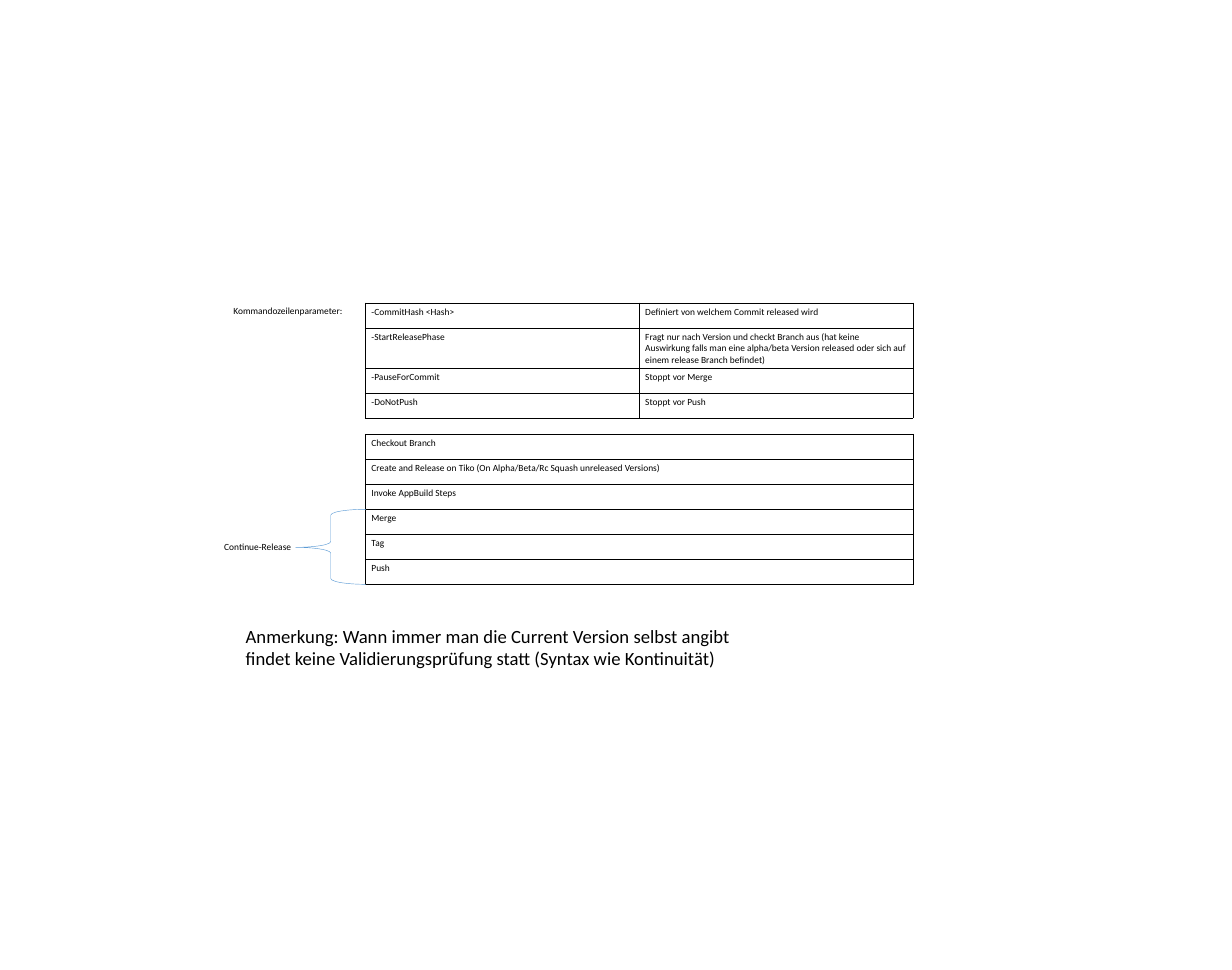
from lxml.etree import SubElement
from pptx import Presentation
from pptx.dml.color import RGBColor
from pptx.enum.shapes import MSO_SHAPE
from pptx.oxml.ns import qn
from pptx.util import Inches, Pt

COLORS = {"text": "000000", "border": "000000", "brace": "5B9BD5"}
FONT = "Calibri"
TABLE_LEFT, TABLE_WIDTH, ROW_HEIGHT = 5.93, 8.89, 0.406

PARAMETERS = [
    ("-CommitHash <Hash>", "Definiert von welchem Commit released wird"),
    ("-StartReleasePhase",
     "Fragt nur nach Version und checkt Branch aus (hat keine Auswirkung falls man "
     "eine alpha/beta Version released oder sich auf einem release Branch befindet)"),
    ("-PauseForCommit", "Stoppt vor Merge"),
    ("-DoNotPush", "Stoppt vor Push"),
]
STEPS = [
    ("Checkout Branch",),
    ("Create and Release on Tiko (On Alpha/Beta/Rc Squash unreleased Versions)",),
    ("Invoke AppBuild Steps",),
    ("Merge",),
    ("Tag",),
    ("Push",),
]


def set_text(text_frame, text, size):
    text_frame.text = text
    for paragraph in text_frame.paragraphs:
        for run in paragraph.runs:
            run.font.name = FONT
            run.font.size = Pt(size)
            run.font.color.rgb = RGBColor.from_string(COLORS["text"])


def add_label(slide, left, top, width, height, text, size=11, wrap=True):
    box = slide.shapes.add_textbox(Inches(left), Inches(top), Inches(width), Inches(height))
    box.text_frame.word_wrap = wrap
    set_text(box.text_frame, text, size)


def add_borders(cell):
    properties = cell._tc.get_or_add_tcPr()
    for position, side in enumerate(("lnL", "lnR", "lnT", "lnB")):
        line = SubElement(properties, qn(f"a:{side}"), w=str(Pt(1)))
        fill = SubElement(line, qn("a:solidFill"))
        SubElement(fill, qn("a:srgbClr"), val=COLORS["border"])
        # Borders come before the cell fill in the schema
        properties.insert(position, line)


def add_grid(slide, top, rows):
    column_count = len(rows[0])
    table = slide.shapes.add_table(
        len(rows), column_count, Inches(TABLE_LEFT), Inches(top),
        Inches(TABLE_WIDTH), Inches(ROW_HEIGHT * len(rows))).table
    table.first_row = False
    table.horz_banding = False
    for row_index, row in enumerate(rows):
        for column_index, text in enumerate(row):
            cell = table.cell(row_index, column_index)
            cell.fill.background()
            add_borders(cell)
            set_text(cell.text_frame, text, 11)


def add_brace(slide, left, top, width, height):
    brace = slide.shapes.add_shape(
        MSO_SHAPE.LEFT_BRACE, Inches(left), Inches(top), Inches(width), Inches(height))
    brace.adjustments[0] = 0.083
    brace.adjustments[1] = 0.507
    brace.shadow.inherit = False
    brace.fill.background()
    brace.line.color.rgb = RGBColor.from_string(COLORS["brace"])
    brace.line.width = Pt(0.5)


def main():
    presentation = Presentation()
    presentation.slide_width = Inches(20)
    presentation.slide_height = Inches(15.75)
    slide = presentation.slides.add_slide(presentation.slide_layouts[6])

    # Command line parameters
    add_label(slide, 3.69, 4.9, 1.99, 0.29, "Kommandozeilenparameter:")
    add_grid(slide, 4.92, PARAMETERS)

    # Release steps, the last three bracketed
    add_grid(slide, 7.05, STEPS)
    add_brace(slide, 4.8, 8.27, 1.14, 3 * ROW_HEIGHT)
    add_label(slide, 3.54, 8.73, 1.82, 0.29, "Continue-Release")

    # Remark
    add_label(slide, 3.89, 10.09, 8.2, 0.83,
              "Anmerkung: Wann immer man die Current Version selbst angibt\n"
              "findet keine Validierungsprüfung statt (Syntax wie Kontinuität)",
              size=21.8, wrap=False)

    presentation.save("out.pptx")


main()
